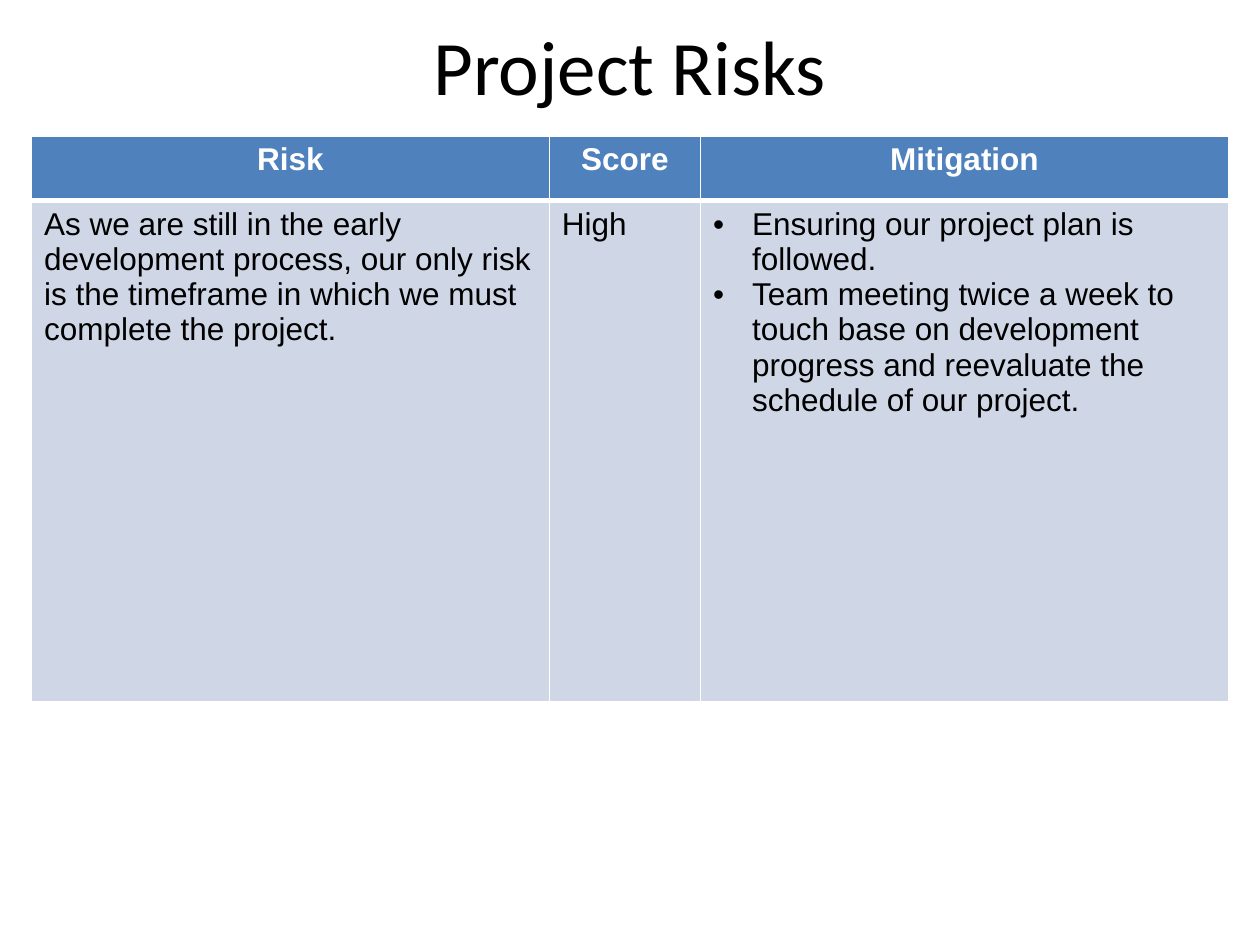
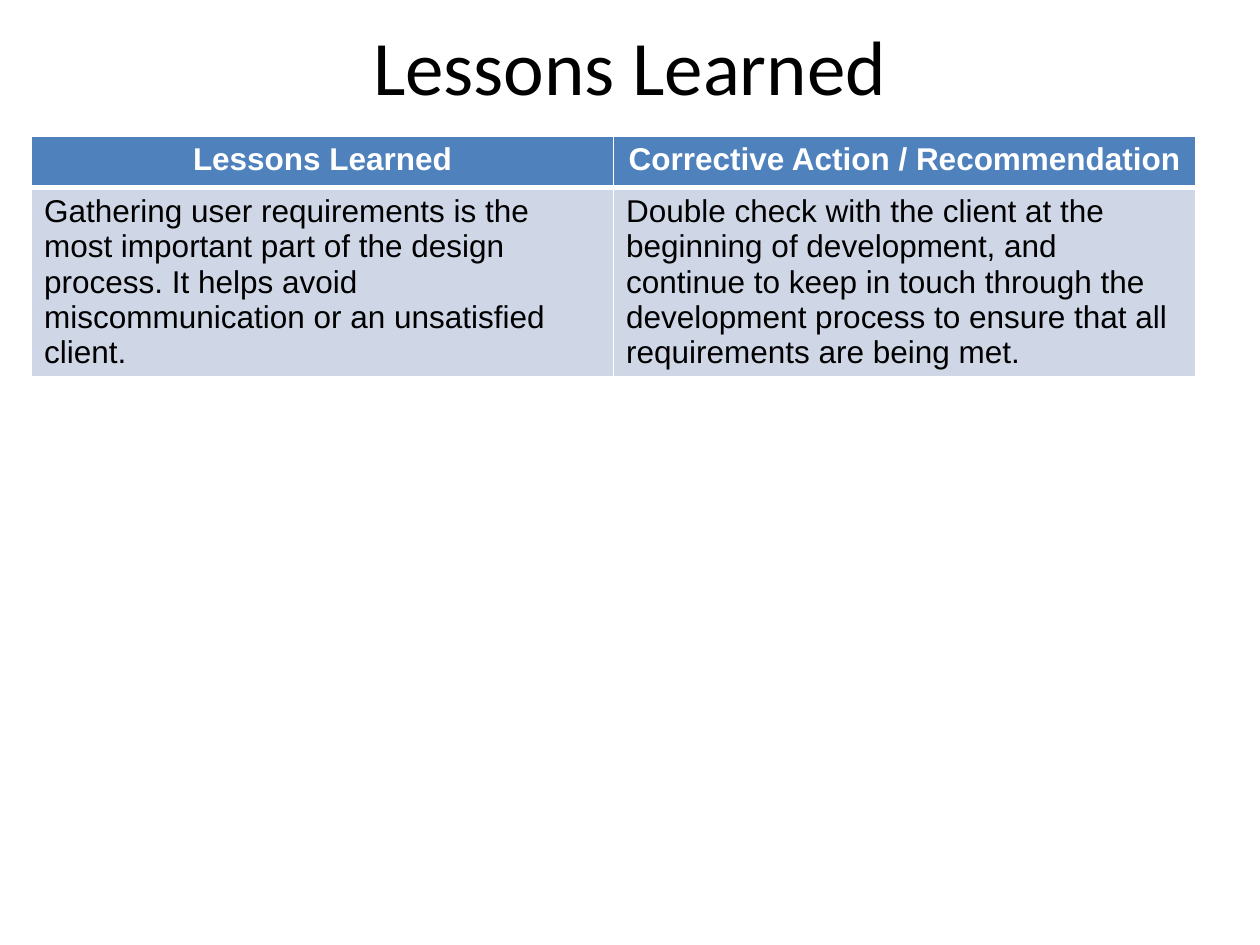
"""Build the project risks and lessons learned slides."""
from lxml import etree
from pptx import Presentation
from pptx import util as u
from pptx.dml.color import RGBColor
from pptx.enum import text
from pptx.oxml import ns

SLIDES = [
    {
        "title": "Project Risks",
        "columns": [4.11, 1.2, 4.19],
        "rows": [0.51, 3.98],
        "header": ["Risk", "Score", "Mitigation"],
        "body": [
            "As we are still in the early development process, our only risk "
            "is the timeframe in which we must complete the project.",
            "High",
            [
                "Ensuring our project plan is followed.",
                "Team meeting twice a week to touch base on development "
                "progress and reevaluate the schedule of our project.",
            ],
        ],
    },
    {
        "title": "Lessons Learned",
        "columns": [4.62, 4.62],
        "rows": [0.41, 0.41],
        "header": ["Lessons Learned", "Corrective Action / Recommendation"],
        "body": [
            "Gathering user requirements is the most important part of the "
            "design process. It helps avoid miscommunication or an "
            "unsatisfied client.",
            "Double check with the client at the beginning of development, "
            "and continue to keep in touch through the development process "
            "to ensure that all requirements are being met.",
        ],
    },
]

BLACK = RGBColor(0x00, 0x00, 0x00)
WHITE = RGBColor(0xFF, 0xFF, 0xFF)
HEADER_BLUE = RGBColor(0x4F, 0x81, 0xBD)
BODY_BLUE = RGBColor(0xCF, 0xD7, 0xE7)

TITLE_BOX = {"left": 0.5, "top": 0.08, "width": 9, "height": 0.86}
TABLE_LEFT, TABLE_TOP = 0.25, 1.08
BULLET_INDENT = u.Inches(0.31)

TITLE_FONT = {"name": "Calibri", "size": u.Pt(44), "bold": False}
CELL_FONT = {"name": "Arial", "size": u.Pt(18)}
ROW_STYLES = {
    "header": {
        "fill": HEADER_BLUE,
        "color": WHITE,
        "font": {**CELL_FONT, "bold": True},
        "align": text.PP_ALIGN.CENTER,
        "borders": {"lnL": 1, "lnR": 1, "lnT": 1, "lnB": 3},
    },
    "body": {
        "fill": BODY_BLUE,
        "color": BLACK,
        "font": {**CELL_FONT, "bold": False},
        "align": text.PP_ALIGN.LEFT,
        "borders": {"lnL": 1, "lnR": 1, "lnT": 3, "lnB": 1},
    },
}


def set_values(target, values):
    for name, value in values.items():
        setattr(target, name, value)


def write(paragraph, wording, font, color, align):
    run = paragraph.add_run()
    run.text = wording
    paragraph.alignment = align
    set_values(run.font, font)
    run.font.color.rgb = color


def add_bullet(paragraph):
    properties = paragraph._p.get_or_add_pPr()
    properties.set("marL", str(BULLET_INDENT))
    properties.set("indent", str(-BULLET_INDENT))
    color = etree.SubElement(properties, ns.qn("a:buClr"))
    etree.SubElement(color, ns.qn("a:srgbClr"), val=str(BLACK))
    etree.SubElement(properties, ns.qn("a:buFont"), typeface="Arial")
    etree.SubElement(properties, ns.qn("a:buChar"), char="•")


def add_borders(cell, borders):
    properties = cell._tc.get_or_add_tcPr()
    for position, (side, points) in enumerate(borders.items()):
        line = etree.Element(ns.qn(f"a:{side}"), w=str(u.Pt(points)))
        fill = etree.SubElement(line, ns.qn("a:solidFill"))
        etree.SubElement(fill, ns.qn("a:srgbClr"), val=str(WHITE))
        properties.insert(position, line)


def fill_cell(cell, content, style):
    cell.fill.solid()
    cell.fill.fore_color.rgb = style["fill"]
    add_borders(cell, style["borders"])
    bulleted = isinstance(content, list)
    frame = cell.text_frame
    for index, wording in enumerate(content if bulleted else [content]):
        paragraph = frame.add_paragraph() if index else frame.paragraphs[0]
        write(paragraph, wording, style["font"], style["color"], style["align"])
        if bulleted:
            add_bullet(paragraph)


def add_title(slide, wording):
    title = slide.shapes.title
    set_values(title, {name: u.Inches(value) for name, value in TITLE_BOX.items()})
    title.text_frame.vertical_anchor = text.MSO_ANCHOR.MIDDLE
    write(title.text_frame.paragraphs[0], wording, TITLE_FONT, BLACK,
          text.PP_ALIGN.CENTER)


def add_content_table(slide, content):
    columns, rows = content["columns"], content["rows"]
    table = slide.shapes.add_table(
        len(rows), len(columns), u.Inches(TABLE_LEFT), u.Inches(TABLE_TOP),
        u.Inches(sum(columns)), u.Inches(sum(rows))).table
    for column, width in zip(table.columns, columns):
        column.width = u.Inches(width)
    for row, height, kind in zip(table.rows, rows, ROW_STYLES):
        row.height = u.Inches(height)
        for cell, wording in zip(row.cells, content[kind]):
            fill_cell(cell, wording, ROW_STYLES[kind])


def main():
    presentation = Presentation()
    presentation.slide_width = u.Inches(10)
    presentation.slide_height = u.Inches(7.5)
    title_only = presentation.slide_layouts[5]
    for content in SLIDES:
        slide = presentation.slides.add_slide(title_only)
        add_title(slide, content["title"])
        add_content_table(slide, content)
    presentation.save("out.pptx")


if __name__ == "__main__":
    main()
